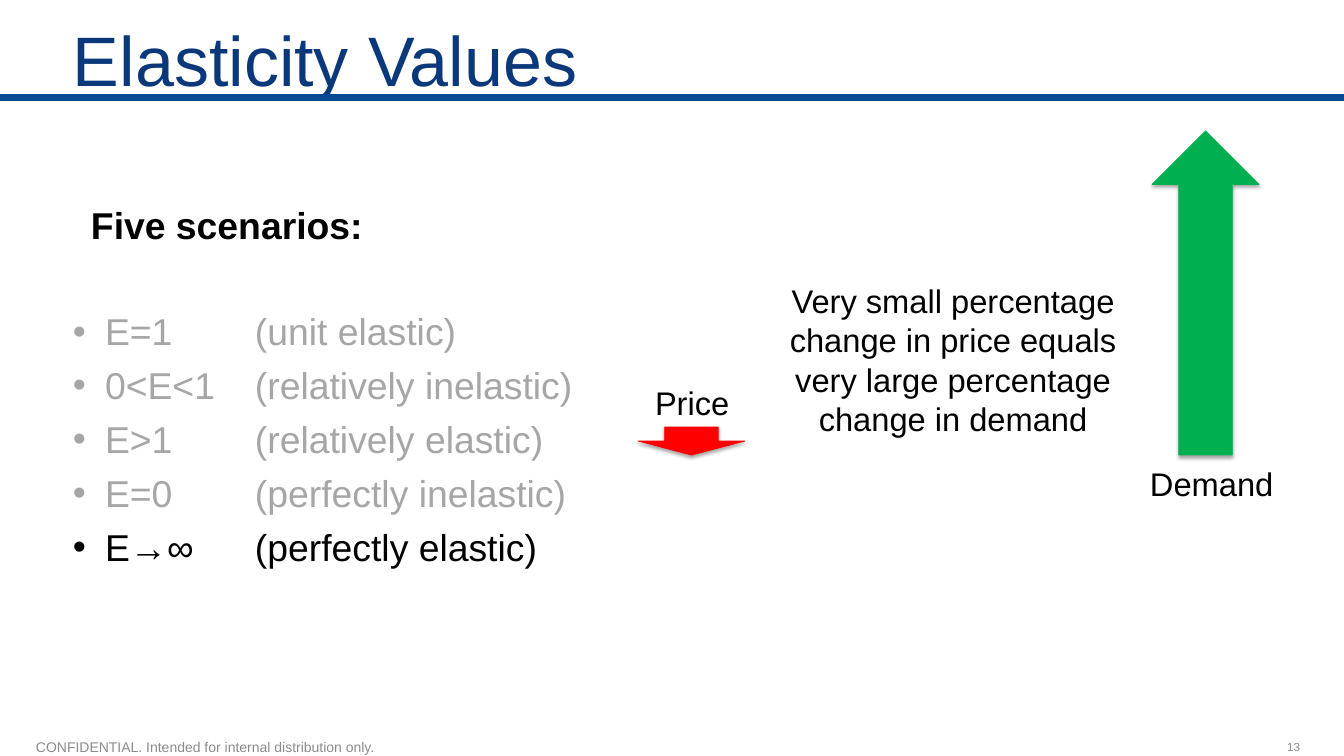
"""Build the slide on price elasticity values."""
from dataclasses import dataclass

from lxml import etree
from pptx import Presentation
from pptx.dml.color import RGBColor
from pptx.enum.shapes import MSO_CONNECTOR, MSO_SHAPE
from pptx.enum.text import MSO_ANCHOR, MSO_AUTO_SIZE, PP_ALIGN
from pptx.oxml import parse_xml
from pptx.oxml.ns import nsdecls, qn
from pptx.util import Emu, Pt

LEFT, CENTER, RIGHT = PP_ALIGN.LEFT, PP_ALIGN.CENTER, PP_ALIGN.RIGHT
TOP, MIDDLE = MSO_ANCHOR.TOP, MSO_ANCHOR.MIDDLE
DOWN, STRAIGHT = MSO_SHAPE.DOWN_ARROW, MSO_CONNECTOR.STRAIGHT
NONE, GROW = MSO_AUTO_SIZE.NONE, MSO_AUTO_SIZE.SHAPE_TO_FIT_TEXT

NAVY = RGBColor(0x0B, 0x38, 0x7B)
BLUE = RGBColor(0x00, 0x48, 0x90)
BLACK = RGBColor(0x00, 0x00, 0x00)
GRAY = RGBColor(0x8C, 0x8C, 0x8C)
PALE = RGBColor(0xA6, 0xA6, 0xA6)
RED = RGBColor(0xFF, 0x00, 0x00)
GREEN = RGBColor(0x00, 0xB0, 0x50)

FONT = "Arial"
WIDE, HIGH = 1344, 756
HANG, TAB = 32, 182


@dataclass
class Box:
    left: int
    top: int
    width: int
    height: int


@dataclass
class Label:
    text: str
    box: Box
    size: int
    color: RGBColor = BLACK
    align: PP_ALIGN = LEFT
    anchor: MSO_ANCHOR = TOP
    fit: MSO_AUTO_SIZE = GROW
    inset: int = 8


@dataclass
class Arrow:
    box: Box
    color: RGBColor
    turn: int = 0


@dataclass
class Case:
    value: str
    name: str
    color: RGBColor = PALE


LABELS = [
    Label("CONFIDENTIAL. Intended for internal distribution only.",
          Box(23, 732, 426, 29), 12, GRAY, anchor=MIDDLE, fit=NONE, inset=13),
    Label("13", Box(995, 727, 313, 40), 10, GRAY, RIGHT, MIDDLE, NONE),
    Label("Very small percentage change in price equals very large "
          "percentage change in demand", Box(765, 277, 376, 167), 28, align=CENTER),
    Label("Price", Box(647, 379, 98, 48), 28),
    Label("Demand", Box(1142, 460, 142, 48), 28),
]
ARROWS = [
    Arrow(Box(638, 427, 107, 28), RED),
    Arrow(Box(1152, 131, 107, 324), GREEN, 180),
]
CASES = [
    Case("E=1", "(unit elastic)"),
    Case("0<E<1", "(relatively inelastic)"),
    Case("E>1", "(relatively elastic)"),
    Case("E=0", "(perfectly inelastic)"),
    Case("E→∞", "(perfectly elastic)", BLACK),
]


def px(count: int) -> Emu:
    """Turn pixels into EMU."""
    return Emu(round(count * 914400 / 84))


def place(shape, box: Box) -> None:
    """Move and size a shape."""
    shape.left, shape.top = px(box.left), px(box.top)
    shape.width, shape.height = px(box.width), px(box.height)


def style(para, size: int, color: RGBColor, bold: bool = False) -> None:
    """Format all runs of a paragraph."""
    for run in para.runs:
        run.font.name, run.font.size = FONT, Pt(size)
        run.font.bold, run.font.color.rgb = bold, color


def setup(frame, inset: int, top: int, fit: MSO_AUTO_SIZE = NONE) -> None:
    """Set wrapping, fit and insets of a text frame."""
    frame.word_wrap, frame.auto_size = True, fit
    frame.margin_left = frame.margin_right = px(inset)
    frame.margin_top, frame.margin_bottom = px(top), px(4)


def bullet(para, mark: str, left: int, hang: int) -> None:
    """Set the bullet, indent and tab stop of a paragraph."""
    props = para._p.get_or_add_pPr()
    props.set("marL", str(px(left)))
    props.set("indent", str(-px(hang)))
    if mark:
        etree.SubElement(props, qn("a:buChar")).set("char", mark)
        tabs = etree.SubElement(props, qn("a:tabLst"))
        stop = etree.SubElement(tabs, qn("a:tab"))
        stop.set("pos", str(px(TAB)))
        stop.set("algn", "l")
    else:
        etree.SubElement(props, qn("a:buNone"))


def add_title(slide) -> None:
    """Fill the title placeholder."""
    title = slide.shapes.title
    place(title, Box(65, 4, 1077, 84))
    frame = title.text_frame
    frame.text = "Elasticity Values"
    setup(frame, 8, 12)
    frame.vertical_anchor = TOP
    para = frame.paragraphs[0]
    para.alignment = LEFT
    style(para, 60, NAVY)


def add_list(slide) -> None:
    """Fill the body placeholder with the scenarios."""
    body = slide.placeholders[1]
    place(body, Box(65, 143, 762, 560))
    frame = body.text_frame
    setup(frame, 8, 59)
    frame.vertical_anchor = TOP
    head = frame.paragraphs[0]
    head.text = "Five scenarios:"
    head.space_before = Pt(0)
    bullet(head, "", 18, 0)
    style(head, 32, BLACK, True)
    for rank, case in enumerate(CASES):
        para = frame.add_paragraph()
        para.text = f"{case.value}\t{case.name}"
        para.space_before = Pt(7.7 if rank else 53)
        bullet(para, "•", HANG, HANG)
        style(para, 32, case.color)


def add_rule(slide) -> None:
    """Draw the line below the title."""
    rule = slide.shapes.add_connector(STRAIGHT, 0, px(98), px(WIDE), px(98))
    rule.line.color.rgb, rule.line.width = BLUE, Pt(6)
    etree.SubElement(rule._element.spPr, qn("a:effectLst"))


def add_label(slide, label: Label) -> None:
    """Draw one text box."""
    shape = slide.shapes.add_textbox(0, 0, 0, 0)
    frame = shape.text_frame
    frame.text = label.text
    setup(frame, label.inset, 4, label.fit)
    frame.vertical_anchor = label.anchor
    para = frame.paragraphs[0]
    para.alignment = label.align
    style(para, label.size, label.color)
    place(shape, label.box)


def add_arrow(slide, arrow: Arrow) -> None:
    """Draw one block arrow with a soft shadow."""
    shape = slide.shapes.add_shape(DOWN, 0, 0, 0, 0)
    place(shape, arrow.box)
    shape.rotation = arrow.turn
    shape.fill.solid()
    shape.fill.fore_color.rgb = arrow.color
    shape.line.color.rgb, shape.line.width = arrow.color, Pt(0.75)
    shape._element.spPr.append(parse_xml(
        f'<a:effectLst {nsdecls("a")}><a:outerShdw blurRad="{Pt(3.1)}" '
        f'dist="{Pt(1.8)}" dir="5400000" rotWithShape="0">'
        '<a:srgbClr val="000000"><a:alpha val="35000"/></a:srgbClr>'
        '</a:outerShdw></a:effectLst>'))


def main() -> None:
    """Build and save the slide."""
    deck = Presentation()
    deck.slide_width, deck.slide_height = px(WIDE), px(HIGH)
    slide = deck.slides.add_slide(deck.slide_layouts[1])
    add_rule(slide)
    add_title(slide)
    add_list(slide)
    for arrow in ARROWS:
        add_arrow(slide, arrow)
    for label in LABELS:
        add_label(slide, label)
    deck.save("out.pptx")


if __name__ == "__main__":
    main()
